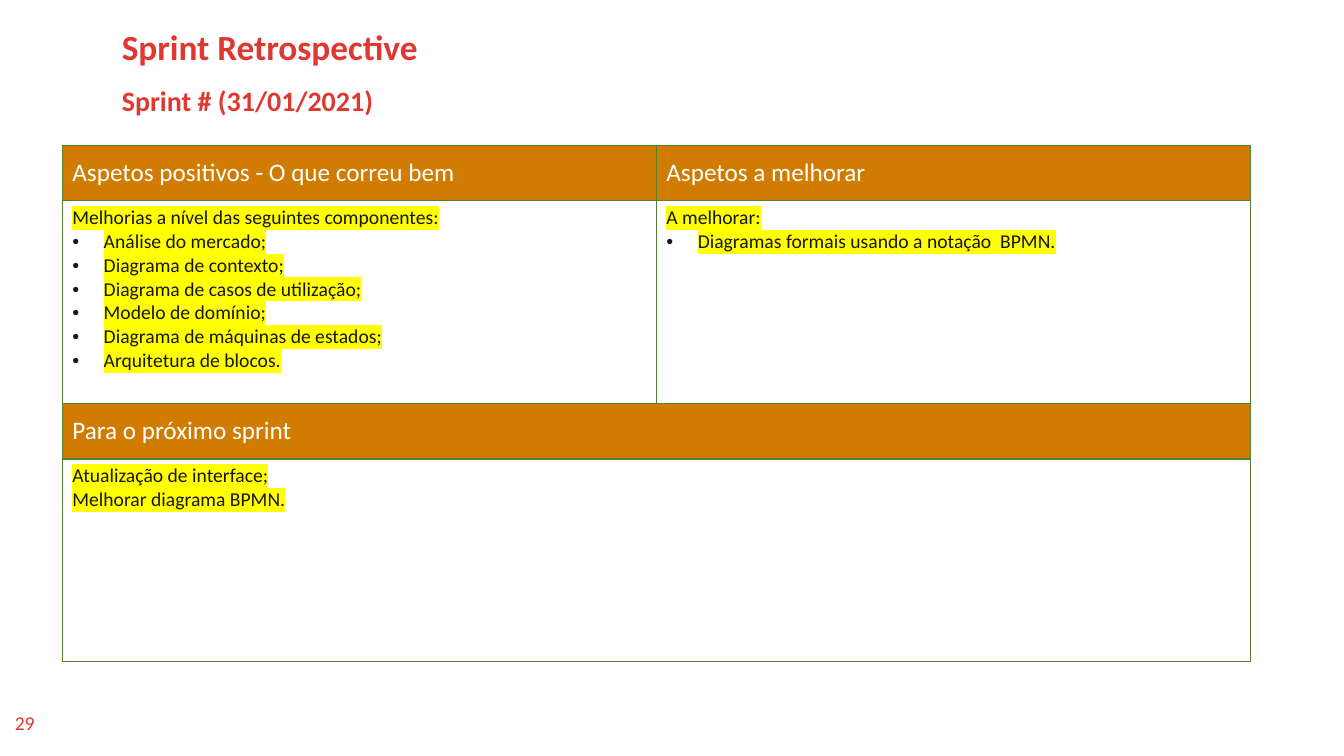
import pptx
import pptx.dml.color
import pptx.enum.text
import pptx.oxml
import pptx.oxml.ns
import pptx.util

Cm, Pt = pptx.util.Cm, pptx.util.Pt
RGB = pptx.dml.color.RGBColor.from_string
ALIGN, ANCHOR = pptx.enum.text.PP_ALIGN, pptx.enum.text.MSO_ANCHOR
NAMESPACE = pptx.oxml.ns.nsdecls("a")

THEME = {
    "font": "Calibri",
    "red": "DE3831", "orange": "D07C00", "green": "548235",
    "white": "FFFFFF", "ink": "181717", "marker": "FFFF00",
    "title": Pt(25.2), "subtitle": Pt(20), "heading": Pt(18), "body": Pt(14),
}


def apply_format(target, values):
    for name, value in values.items():
        setattr(target, name, value)


def write_span(para, text, size, color, bold=False, marked=False):
    span = para.add_run()
    span.text = text
    apply_format(span.font, {"name": THEME["font"], "size": size, "bold": bold})
    span.font.color.rgb = RGB(THEME[color])
    if marked:
        fill = span.font._element.find(pptx.oxml.ns.qn("a:solidFill"))
        fill.addnext(pptx.oxml.parse_xml(
            f'<a:highlight {NAMESPACE}><a:srgbClr val="{THEME["marker"]}"/></a:highlight>'))


deck = pptx.Presentation()
apply_format(deck, {"slide_width": Cm(33.87), "slide_height": Cm(19.05)})
page = deck.slides.add_slide(deck.slide_layouts[6])

# Title, subtitle and page number
labels = [
    ("Sprint Retrospective", (2.82, 0.64, 26.44, 1.14), THEME["title"], True,
     {"line_spacing": 0.9}, ANCHOR.TOP),
    ("Sprint # (31/01/2021)", (2.82, 2.08, 26.44, 1.07), THEME["subtitle"], True,
     {"line_spacing": 0.9}, ANCHOR.TOP),
    ("29", (0.03, 17.7, 1.19, 1.02), THEME["body"], False,
     {"alignment": ALIGN.CENTER}, ANCHOR.MIDDLE),
]
for text, place, size, bold, layout, anchor in labels:
    box = page.shapes.add_textbox(*map(Cm, place))
    apply_format(box.text_frame, {"word_wrap": True, "vertical_anchor": anchor})
    para = box.text_frame.paragraphs[0]
    apply_format(para, layout)
    write_span(para, text, size, "red", bold)

# Retrospective table: heading rows alternate with body rows
row_heights = [Cm(1.4), Cm(5.11)] * 2
column_width = Cm(14.97)
table = page.shapes.add_table(4, 2, Cm(1.57), Cm(3.66),
                              column_width * 2, sum(row_heights)).table
apply_format(table, {"first_row": False, "horz_banding": False})
for column in table.columns:
    column.width = column_width
for row, height in zip(table.rows, row_heights):
    row.height = height

# Cell fills and borders
for row_index, row in enumerate(table.rows):
    is_heading = row_index % 2 == 0
    for cell in row.cells:
        cell.vertical_anchor = ANCHOR.MIDDLE if is_heading else ANCHOR.TOP
        cell.fill.solid()
        cell.fill.fore_color.rgb = RGB(THEME["orange" if is_heading else "white"])
        properties = cell._tc.get_or_add_tcPr()
        for position, side in enumerate("LRTB"):
            properties.insert(position, pptx.oxml.parse_xml(
                f'<a:ln{side} {NAMESPACE} w="{Pt(1)}"><a:solidFill>'
                f'<a:srgbClr val="{THEME["green"]}"/></a:solidFill></a:ln{side}>'))
for row_index in (2, 3):
    table.cell(row_index, 0).merge(table.cell(row_index, 1))

# Sections: row, column, heading, plain lines, bulleted lines
sections = [
    (0, 0, "Aspetos positivos - O que correu bem",
     ["Melhorias a nível das seguintes componentes:"],
     ["Análise do mercado;", "Diagrama de contexto;",
      "Diagrama de casos de utilização;", "Modelo de domínio;",
      "Diagrama de máquinas de estados;", "Arquitetura de blocos."]),
    (0, 1, "Aspetos a melhorar", ["A melhorar:"],
     ["Diagramas formais usando a notação  BPMN."]),
    (2, 0, "Para o próximo sprint",
     ["Atualização de interface;", "Melhorar diagrama BPMN."], []),
]
for row_index, column_index, heading, plain, bulleted in sections:
    heading_para = table.cell(row_index, column_index).text_frame.paragraphs[0]
    write_span(heading_para, heading, THEME["heading"], "white")
    frame = table.cell(row_index + 1, column_index).text_frame
    for line_index, line in enumerate(plain + bulleted):
        para = frame.add_paragraph() if line_index else frame.paragraphs[0]
        if line_index >= len(plain):
            properties = para._p.get_or_add_pPr()
            properties.set("marL", str(Cm(0.79)))
            properties.set("indent", str(-Cm(0.79)))
            for bullet in ('buFont {} typeface="Arial"', 'buChar {} char="•"'):
                properties.append(pptx.oxml.parse_xml(
                    f"<a:{bullet.format(NAMESPACE)}/>"))
        write_span(para, line, THEME["body"], "ink", marked=True)

deck.save("out.pptx")
